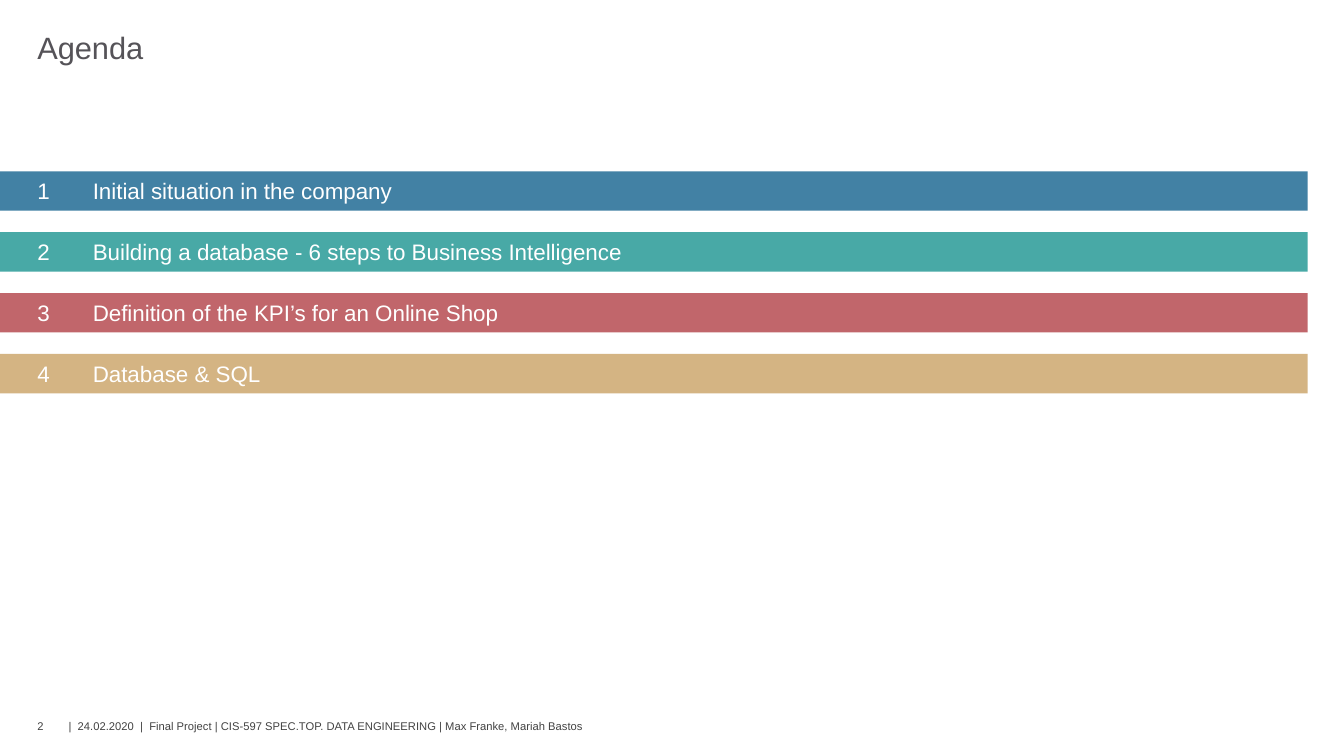
from pptx import Presentation
from pptx.dml.color import RGBColor
from pptx.enum.shapes import MSO_SHAPE
from pptx.enum.text import MSO_ANCHOR
from pptx.util import Inches, Pt

RECT = MSO_SHAPE.RECTANGLE
TOP, MID, LOW = MSO_ANCHOR.TOP, MSO_ANCHOR.MIDDLE, MSO_ANCHOR.BOTTOM

# Content
TITLE = "Agenda"
TOPICS = [
    ("Initial situation in the company", "blue"),
    ("Building a database - 6 steps to Business Intelligence", "teal"),
    ("Definition of the KPI’s for an Online Shop", "red"),
    ("Database & SQL", "sand"),
]
PAGE = "2"
FOOTER = ("|  24.02.2020  |  Final Project | CIS-597 SPEC.TOP. DATA ENGINEERING"
          " | Max Franke, Mariah Bastos")
COLORS = {
    "blue": "4281A4", "teal": "48A9A6", "red": "C1666B", "sand": "D4B483",
    "white": "FFFFFF", "title": "555358", "foot": "424242",
}

# Layout in inches
LEFT, RIGHT = 0.37, 12.97
FIRST, STEP, HIGH = 1.7, 0.604, 0.39
INDENT = 0.92

prs = Presentation()
prs.slide_width, prs.slide_height = Inches(13.33), Inches(7.5)
slide = prs.slides.add_slide(prs.slide_layouts[6])


def rgb(name):
    return RGBColor.from_string(COLORS[name])


def add_text(text, x, y, w, h, size=16, color="white", anchor=TOP, pad=0):
    box = slide.shapes.add_textbox(Inches(x), Inches(y), Inches(w), Inches(h))
    frame = box.text_frame
    frame.word_wrap = True
    frame.vertical_anchor = anchor
    frame.margin_left = frame.margin_right = 0
    frame.margin_top = frame.margin_bottom = Inches(pad)
    run = frame.paragraphs[0].add_run()
    run.text = text
    run.font.name = "Arial"
    run.font.size = Pt(size)
    run.font.color.rgb = rgb(color)


# Title
add_text(TITLE, LEFT, 0.28, RIGHT - LEFT, HIGH, size=22, color="title")

# Agenda bars
for i, (topic, color) in enumerate(TOPICS):
    y = FIRST + i * STEP
    bar = slide.shapes.add_shape(RECT, 0, Inches(y), Inches(RIGHT), Inches(HIGH))
    bar.shadow.inherit = False
    bar.fill.solid()
    bar.fill.fore_color.rgb = rgb(color)
    bar.line.fill.background()
    add_text(str(i + 1), LEFT, y, INDENT - LEFT, HIGH, anchor=MID, pad=0.06)
    add_text(topic, INDENT, y, 7.12, HIGH, pad=0.06)

# Footer
add_text(PAGE, LEFT, 7.15, 0.3, 0.12, size=8, color="foot", anchor=LOW)
add_text(FOOTER, 0.68, 7.15, 11.39, 0.12, size=8, color="foot", anchor=LOW)

prs.save("out.pptx")
